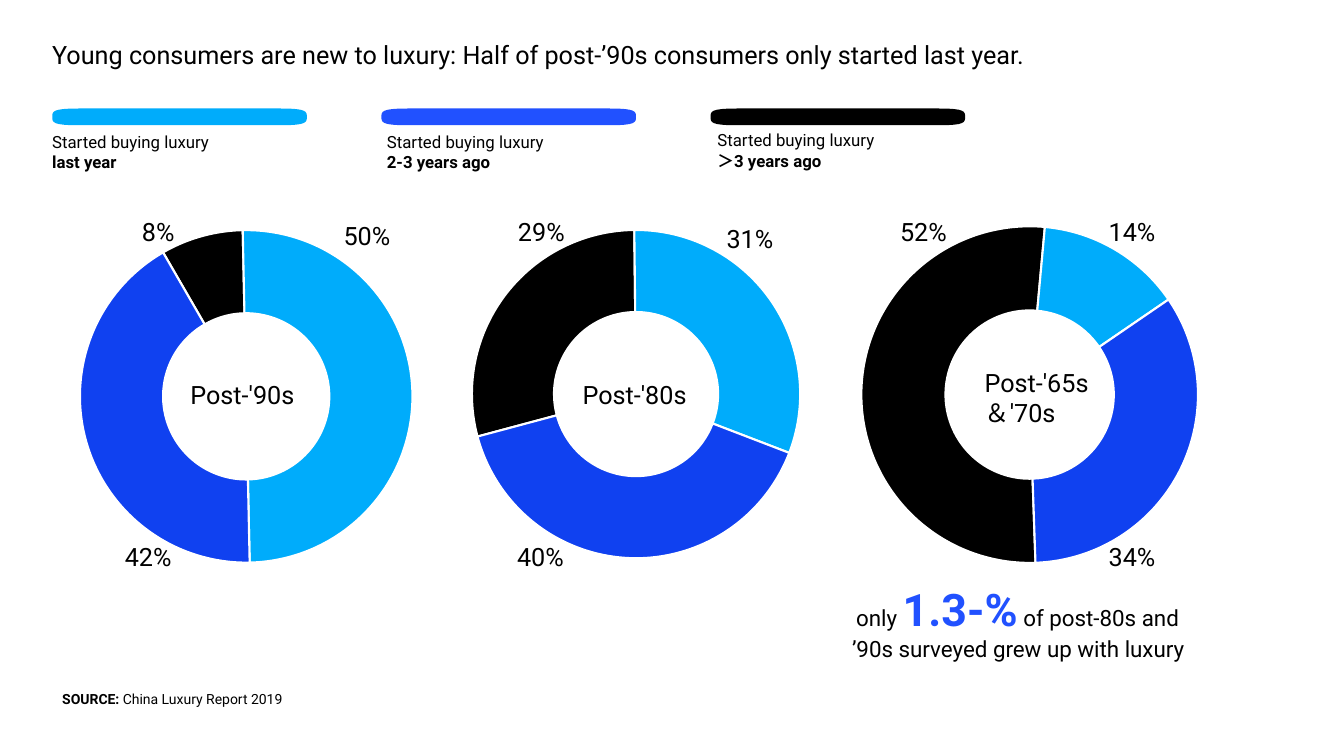
from dataclasses import dataclass
from pptx import Presentation
from pptx.chart.data import CategoryChartData
from pptx.dml.color import RGBColor
from pptx.enum.chart import XL_CHART_TYPE as ChartType
from pptx.enum.text import MSO_AUTO_SIZE as AutoSize, PP_ALIGN as Align
from pptx.oxml import parse_xml
from pptx.oxml.ns import nsdecls, qn
from pptx.util import Pt


@dataclass(frozen=True)
class Theme:
    font: str = "Roboto"
    chart_font: str = "Noto Sans CJK SC"
    black: str = "000000"
    white: str = "FFFFFF"
    sky: str = "00ACFB"
    royal: str = "2151FF"
    cobalt: str = "1041F0"
    note: int = 10
    legend: int = 12
    body: int = 16
    title: int = 18
    hero: int = 32
    ring_line: float = 1.5
    ring_fill: float = 0.92


class Deck:
    def __init__(self, theme):
        self.theme = theme
        self.prs = Presentation()
        self.prs.slide_width, self.prs.slide_height = Pt(960), Pt(540)
        self.s = self.prs.slides.add_slide(self.prs.slide_layouts[6])

    def style(self, font, size, color=None, bold=False, name=None):
        font.name = name or self.theme.font
        font.size = Pt(size)
        font.bold = bold
        font.color.rgb = RGBColor.from_string(color or self.theme.black)

    def text(self, box, paragraphs, size, align=Align.LEFT, wrap=False):
        tf = self.s.shapes.add_textbox(*map(Pt, box)).text_frame
        tf.word_wrap = wrap
        tf.auto_size = AutoSize.SHAPE_TO_FIT_TEXT
        for i, runs in enumerate(paragraphs):
            p = tf.add_paragraph() if i else tf.paragraphs[0]
            p.alignment = align
            for content, look in runs:
                r = p.add_run()
                r.text = content
                self.style(r.font, **{"size": size, **look})

    def label(self, left, top, width, content):
        lines = content.split("\n")
        height = 7.2 + 21.6 * len(lines)
        self.text((left, top, width, height), [[(line, {})] for line in lines], self.theme.title)

    def pill(self, left, top, width, height, color, steps=8):
        inset, pull = 18.7, 2.2
        corner = []
        for i in range(steps + 1):
            t = i / steps
            x = inset * (1 - t) ** 3
            y = 3 * (1 - t) * t ** 2 * pull + t ** 3 * height / 2
            corner.append((x, y))
        top_edge = corner[::-1] + [(width - x, y) for x, y in corner]
        outline = top_edge + [(x, height - y) for x, y in top_edge[::-1]]
        points = [(Pt(left + x), Pt(top + y)) for x, y in outline]
        fb = self.s.shapes.build_freeform(*points[0])
        fb.add_line_segments(points[1:], close=True)
        sp = fb.convert_to_shape()
        sp.shadow.inherit = False
        sp.fill.solid()
        sp.fill.fore_color.rgb = RGBColor.from_string(color)
        sp.line.fill.background()

    def doughnut(self, left, top, size, values, start, hole):
        th = self.theme
        data = CategoryChartData()
        data.categories = ["1", "2", "3"]
        data.add_series("Series 1", values)
        frame = self.s.shapes.add_chart(ChartType.DOUGHNUT, *map(Pt, (left, top, size, size)), data)
        chart = frame.chart
        chart.has_legend = chart.has_title = False
        self.style(chart.font, th.note, th.white, name=th.chart_font)
        plot = chart.plots[0]
        plot.vary_by_categories = True
        for i, color in enumerate((th.black, th.sky, th.cobalt)):
            fmt = plot.series[0].points[i].format
            fmt.fill.solid()
            fmt.fill.fore_color.rgb = RGBColor.from_string(color)
            fmt.line.color.rgb = RGBColor.from_string(th.white)
            fmt.line.width = Pt(th.ring_line)
        area = chart.element.find(".//" + qn("c:plotArea"))
        for layout in area.findall(qn("c:layout")):
            area.remove(layout)
        margin = (1 - th.ring_fill) / 2
        area.insert(0, parse_xml(
            f'<c:layout {nsdecls("c")}><c:manualLayout><c:layoutTarget val="inner"/>'
            f'<c:xMode val="edge"/><c:yMode val="edge"/>'
            f'<c:x val="{margin:.2f}"/><c:y val="{margin:.2f}"/>'
            f'<c:w val="{th.ring_fill}"/><c:h val="{th.ring_fill}"/>'
            f'</c:manualLayout></c:layout>'))
        for tag, value in (("c:firstSliceAng", start), ("c:holeSize", hole)):
            area.find(".//" + qn(tag)).set("val", str(value))


def main():
    th = Theme()
    deck = Deck(th)
    bold = {"bold": True}

    deck.text((30.2, 24.5, 903.4, 28.8), [[(
        "Young consumers are new to luxury: Half of post-’90s consumers only started last year.", {})]],
        th.title, wrap=True)

    legend = [
        (th.sky, 30.2, 90.7, "last year"),
        (th.royal, 269.3, 90.7, "2-3 years ago"),
        (th.black, 505.4, 89.5, "＞3 years ago"),
    ]
    for i, (color, left, top, period) in enumerate(legend):
        deck.pill(37.4 + 235.1 * i, 77.5, 181.8, 12, color)
        deck.text((left, top, 133.9, 36), [[("Started buying luxury", {})], [(period, bold)]], th.legend)

    rings = [
        ((46.8, 154.1, 258.2), (8, 50, 42), 330, 61),
        ((326.9, 154.1, 254.9), (29, 31, 40), 255, 62),
        ((604.8, 151.2, 261.4), (52, 14, 34), 178, 62),
    ]
    for place, values, start, hole in rings:
        deck.doughnut(*place, values, start, hole)

    deck.text((582.5, 411.8, 270.7, 65.5), [
        [("only ", {}), ("1.3-%", {"size": th.hero, "color": th.royal, "bold": True}),
         (" of post-80s and ", {})],
        [("’90s surveyed grew up with luxury", {})],
    ], th.body, Align.RIGHT)

    for left, top, name in [
        (128.9, 267.1, "Post-'90s"),
        (409, 267.1, "Post-'80s"),
        (696.2, 258.5, "Post-'65s\n＆'70s"),
    ]:
        deck.label(left, top, 94.3, name)

    shares = [
        (94.3, 151.2, 8), (238.3, 154.1, 50), (82.1, 383, 42),
        (362.9, 151.2, 29), (511.9, 156.2, 31), (362.2, 383, 40),
        (635.8, 151.2, 52), (784.8, 151.2, 14), (784.8, 383, 34),
    ]
    for left, top, share in shares:
        deck.label(left, top, 49 if share > 9 else 38.9, f"{share}%")

    deck.text((37.4, 489.6, 175.7, 19.4), [[("SOURCE: ", bold), ("China Luxury Report 2019", {})]], th.note)

    deck.prs.save("out.pptx")


if __name__ == "__main__":
    main()
